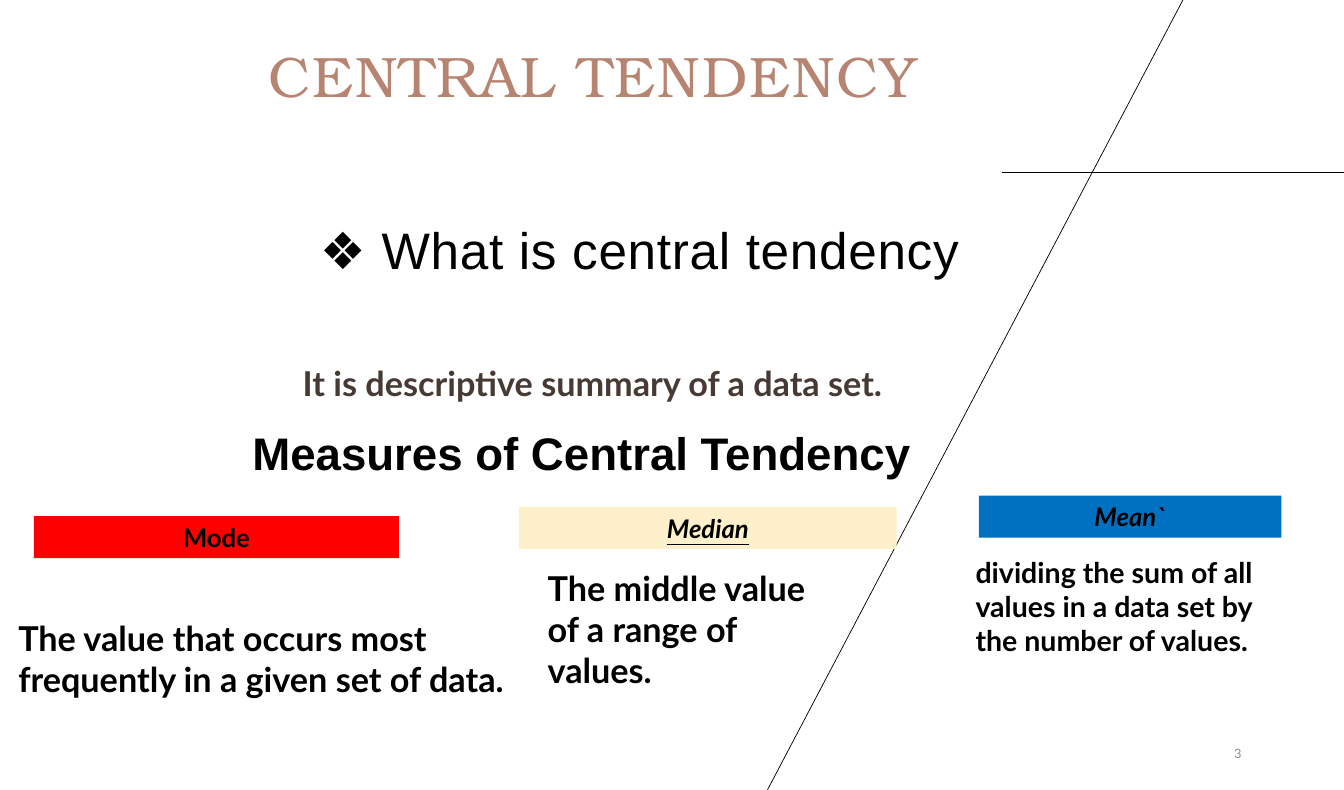
from lxml import etree
from pptx import Presentation
from pptx.dml.color import RGBColor
from pptx.enum.shapes import MSO_CONNECTOR, MSO_SHAPE
from pptx.enum.text import MSO_ANCHOR, MSO_AUTO_SIZE, PP_ALIGN
from pptx.oxml.ns import qn
from pptx.util import Emu, Pt

PX = 9144  # 100 px to the inch
WIDTH, HEIGHT = 1310, 770
LEFT, CENTER, RIGHT = PP_ALIGN.LEFT, PP_ALIGN.CENTER, PP_ALIGN.RIGHT
TOP, MIDDLE, BOTTOM = MSO_ANCHOR.TOP, MSO_ANCHOR.MIDDLE, MSO_ANCHOR.BOTTOM
RECT, STRAIGHT = MSO_SHAPE.RECTANGLE, MSO_CONNECTOR.STRAIGHT
FIXED = MSO_AUTO_SIZE.NONE

BLACK = RGBColor(0x00, 0x00, 0x00)
CLAY = RGBColor(0xB8, 0x84, 0x72)
BROWN = RGBColor(0x47, 0x3A, 0x35)
GRAY = RGBColor(0x8C, 0x8C, 0x8C)
RED = RGBColor(0xFF, 0x00, 0x00)
CREAM = RGBColor(0xFD, 0xF0, 0xCA)
BLUE = RGBColor(0x00, 0x70, 0xC0)

# label, its box, fill, italic, underline, meaning, its box, size
MEASURES = [
    ("Mode", (33, 503, 356, 41), RED, False, False,
     "The value that occurs most frequently in a given set of data.",
     (8, 597, 510, 135), 24),
    ("Median", (506, 494, 368, 41), CREAM, True, True,
     "The middle value of a range of values.",
     (524, 548, 295, 136), 24),
    ("Mean`", (954, 483, 295, 41), BLUE, True, False,
     "dividing the sum of all values in a data set by the number of values.",
     (941, 536, 295, 149), 20),
]


def emu(box):
    return [Emu(n * PX) for n in box]


def write(shape, text, size, font="Lato", color=BLACK, bold=False,
          align=LEFT, anchor=TOP, track=0):
    """Fill a shape with one styled paragraph; track is in 1/100 pt."""
    frame = shape.text_frame
    frame.text = text
    frame.word_wrap = True
    frame.auto_size = FIXED
    frame.vertical_anchor = anchor
    para = frame.paragraphs[0]
    para.alignment = align
    run = para.runs[0]
    run.font.name = font
    run.font.size = Pt(size)
    run.font.bold = bold
    run.font.color.rgb = color
    if track:
        run.font._element.set("spc", str(track))
    return run


def label(slide, box, text, size, **style):
    write(slide.shapes.add_textbox(*emu(box)), text, size, **style)


def rule(slide, ends):
    line = slide.shapes.add_connector(STRAIGHT, *emu(ends))
    line.line.color.rgb = BLACK
    line.line.width = Pt(0.5)
    etree.SubElement(line._element.spPr, qn("a:effectLst"))


def header(slide, box):
    title = slide.shapes.title
    title.left, title.top, title.width, title.height = emu(box)
    write(title, "CENTRAL TENDENCY", 40, font="TeX Gyre Bonum", color=CLAY,
          align=CENTER, anchor=BOTTOM, track=150)
    title.text_frame.paragraphs[0].line_spacing = 0.9


def measure(slide, name, box, fill, italic, under, text, area, size):
    """Place a coloured name bar and its meaning."""
    bar = slide.shapes.add_shape(RECT, *emu(box))
    bar.shadow.inherit = False
    bar.fill.solid()
    bar.fill.fore_color.rgb = fill
    bar.line.fill.background()
    run = write(bar, name, 18, bold=True, align=CENTER, anchor=MIDDLE)
    run.font.italic = italic
    run.font.underline = under
    label(slide, area, text, size, bold=True)


def main():
    deck = Presentation()
    deck.slide_width, deck.slide_height = emu((WIDTH, HEIGHT))
    slide = deck.slides.add_slide(deck.slide_layouts[5])
    rule(slide, (977, 168, WIDTH, 168))
    rule(slide, (1153, 0, 748, HEIGHT))
    header(slide, (138, 40, 880, 72))
    label(slide, (302, 208, 965, 102), "❖ What is central tendency", 36,
          font="Arial", track=50)
    label(slide, (273, 338, 609, 70),
          "It is descriptive summary of a data set.", 24, color=BROWN,
          bold=True, align=CENTER, anchor=MIDDLE)
    label(slide, (6, 409, 1122, 66), "Measures of Central Tendency", 32,
          font="Arial", bold=True, align=CENTER)
    for item in MEASURES:
        measure(slide, *item)
    label(slide, (925, 714, 295, 41), "3", 9, color=GRAY, align=RIGHT,
          anchor=MIDDLE)
    deck.save("out.pptx")


if __name__ == "__main__":
    main()
